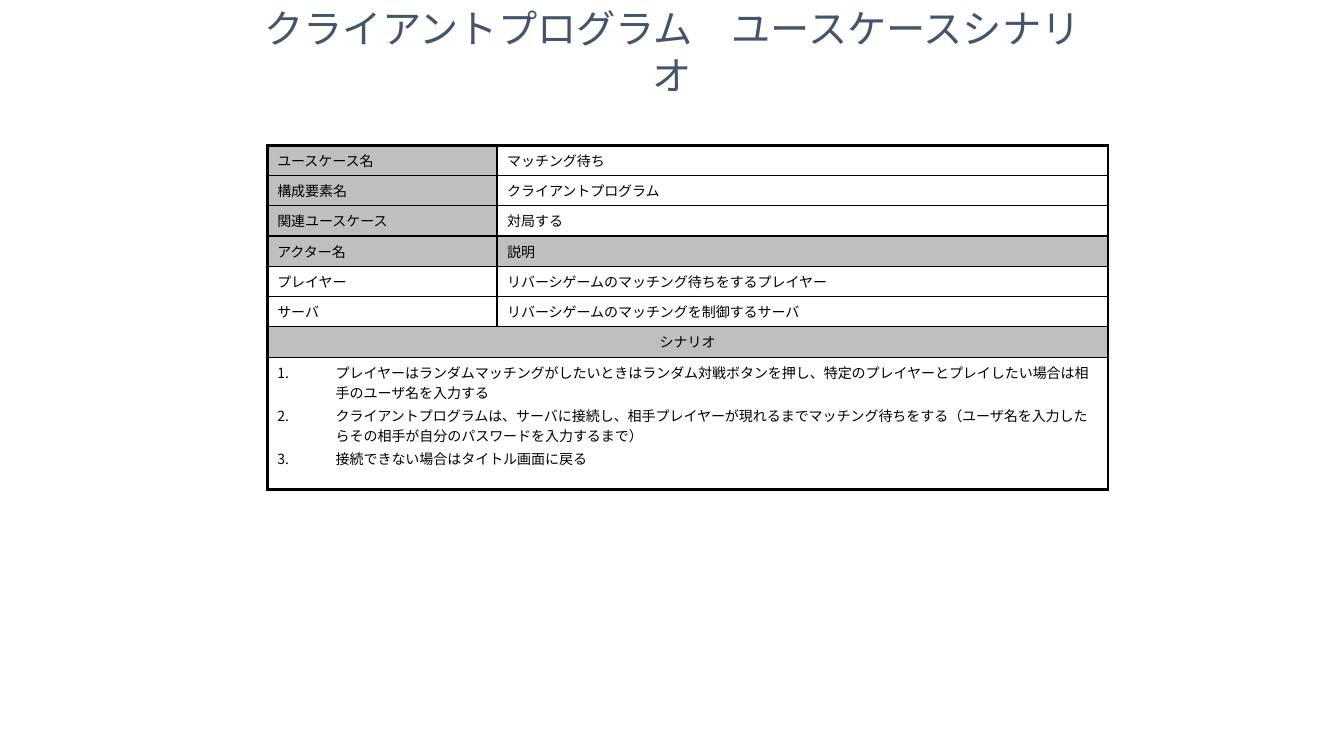
from dataclasses import dataclass

from lxml import etree
from pptx import Presentation
from pptx.dml.color import RGBColor
from pptx.enum.lang import MSO_LANGUAGE_ID
from pptx.enum.text import MSO_ANCHOR, PP_ALIGN
from pptx.oxml.ns import qn
from pptx.util import Inches, Pt

CENTER = PP_ALIGN.CENTER
MIDDLE = MSO_ANCHOR.MIDDLE
JAPANESE = MSO_LANGUAGE_ID.JAPANESE


@dataclass(frozen=True)
class Theme:
    font: str = "Times New Roman"
    title_color: str = "44546A"
    ink: str = "000000"
    header_fill: str = "BFBFBF"
    plain_fill: str = "FFFFFF"
    title_size: float = 28
    body_size: float = 10
    step_gap: float = 2
    outer_line: float = 2.25
    inner_line: float = 1


TITLE = "クライアントプログラム　ユースケースシナリオ"
# Left text, right text, left shaded, right shaded
DETAILS = [
    ("ユースケース名", "マッチング待ち", True, False),
    ("構成要素名", "クライアントプログラム", True, False),
    ("関連ユースケース", "対局する", True, False),
    ("アクター名", "説明", True, True),
    ("プレイヤー", "リバーシゲームのマッチング待ちをするプレイヤー", False, False),
    ("サーバ", "リバーシゲームのマッチングを制御するサーバ", False, False),
]
SCENARIO_HEADING = "シナリオ"
SCENARIO_STEPS = [
    "プレイヤーはランダムマッチングがしたいときはランダム対戦ボタンを押し、"
    "特定のプレイヤーとプレイしたい場合は相手のユーザ名を入力する",
    "クライアントプログラムは、サーバに接続し、相手プレイヤーが現れるまで"
    "マッチング待ちをする（ユーザ名を入力したらその相手が自分のパスワードを入力するまで）",
    "接続できない場合はタイトル画面に戻る",
]
COLUMN_WIDTHS = [2.28, 6.06]
ROW_HEIGHTS = [0.3] * (len(DETAILS) + 1) + [1.31]


class SlideBuilder:
    def __init__(self, page, theme):
        self.page = page
        self.theme = theme

    def style_paragraph(self, para, size, color):
        for span in para.runs:
            span.font.name = self.theme.font
            span.font.size = Pt(size)
            span.font.color.rgb = RGBColor.from_string(color)
            span.font.language_id = JAPANESE

    def title(self, text, left, top, width, height):
        box = self.page.shapes.add_textbox(
            Inches(left), Inches(top), Inches(width), Inches(height))
        frame = box.text_frame
        frame.word_wrap = True
        frame.vertical_anchor = MIDDLE
        frame.text = text
        para = frame.paragraphs[0]
        para.alignment = CENTER
        self.style_paragraph(para, self.theme.title_size, self.theme.title_color)

    def grid(self, left, top, widths, heights):
        frame = self.page.shapes.add_table(
            len(heights), len(widths), Inches(left), Inches(top),
            Inches(sum(widths)), Inches(sum(heights)))
        table = frame.table
        table.first_row = False
        table.horz_banding = False
        for column, width in zip(table.columns, widths):
            column.width = Inches(width)
        for row, height in zip(table.rows, heights):
            row.height = Inches(height)
        for r in range(len(heights)):
            for c in range(len(widths)):
                self.borders(table.cell(r, c), {
                    "L": c == 0, "R": c == len(widths) - 1,
                    "T": r == 0, "B": r == len(heights) - 1})
        return table

    def borders(self, cell, outer_sides):
        """Draw each side, heavier where it lies on the table's edge."""
        properties = cell._tc.get_or_add_tcPr()
        for side, is_outer in outer_sides.items():
            width = self.theme.outer_line if is_outer else self.theme.inner_line
            line = etree.SubElement(properties, qn(f"a:ln{side}"), w=str(Pt(width)))
            fill = etree.SubElement(line, qn("a:solidFill"))
            etree.SubElement(fill, qn("a:srgbClr"), val=self.theme.ink)

    def fill_cell(self, cell, text, shaded=False, alignment=None):
        color = self.theme.header_fill if shaded else self.theme.plain_fill
        cell.fill.solid()
        cell.fill.fore_color.rgb = RGBColor.from_string(color)
        cell.text_frame.text = text
        for para in cell.text_frame.paragraphs:
            para.alignment = alignment
            self.style_paragraph(para, self.theme.body_size, self.theme.ink)

    def number_paragraphs(self, cell, indent):
        for index, para in enumerate(cell.text_frame.paragraphs):
            if index:
                para.space_before = Pt(self.theme.step_gap)
            properties = para._p.get_or_add_pPr()
            properties.set("marL", str(Inches(indent)))
            properties.set("indent", str(-Inches(indent)))
            etree.SubElement(properties, qn("a:buAutoNum"), type="arabicPeriod")


def main():
    deck = Presentation()
    deck.slide_width = Inches(13.33)
    deck.slide_height = Inches(7.5)
    page = deck.slides.add_slide(deck.slide_layouts[6])
    builder = SlideBuilder(page, Theme())

    table = builder.grid(2.65, 1.44, COLUMN_WIDTHS, ROW_HEIGHTS)
    for row, (name, detail, name_shaded, detail_shaded) in enumerate(DETAILS):
        builder.fill_cell(table.cell(row, 0), name, name_shaded)
        builder.fill_cell(table.cell(row, 1), detail, detail_shaded)

    heading_row = len(DETAILS)
    for row in (heading_row, heading_row + 1):
        table.cell(row, 0).merge(table.cell(row, 1))
    builder.fill_cell(table.cell(heading_row, 0), SCENARIO_HEADING, True, CENTER)
    steps = table.cell(heading_row + 1, 0)
    builder.fill_cell(steps, "\n".join(SCENARIO_STEPS))
    builder.number_paragraphs(steps, 0.58)

    builder.title(TITLE, 2.42, 0.27, 8.5, 0.48)
    deck.save("out.pptx")


if __name__ == "__main__":
    main()
